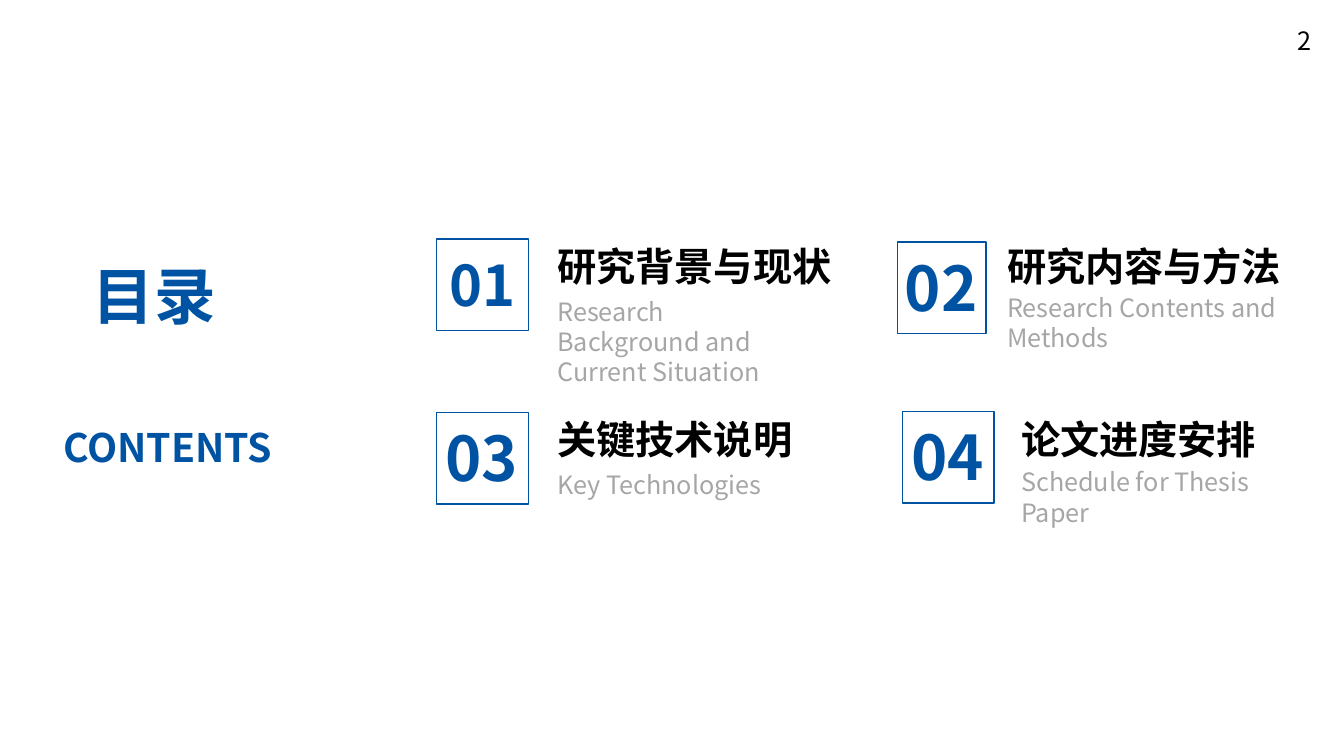
"""Build a contents slide with four numbered sections."""
from dataclasses import dataclass
from typing import Any

from lxml import etree
from pptx import Presentation
from pptx import util as u
from pptx.dml.color import RGBColor
from pptx.enum import shapes, text
from pptx.oxml import ns

PX = u.Inches(1) // 100
FONT = "Noto Sans CJK SC"
COLORS = {"blue": "0053A3", "black": "000000", "gray": "A6A6A6"}
FORMATS: dict[str, dict[str, Any]] = {
    "title": {"size": 44, "color": "blue", "bold": True, "align": text.PP_ALIGN.RIGHT},
    "contents": {"size": 28, "color": "blue", "bold": True, "align": text.PP_ALIGN.RIGHT},
    "heading": {"size": 28, "color": "black", "bold": True, "align": text.PP_ALIGN.LEFT},
    "caption": {"size": 18, "color": "gray", "bold": False, "align": text.PP_ALIGN.LEFT},
    "number": {"size": 44, "color": "blue", "bold": True, "align": text.PP_ALIGN.CENTER},
    "small_number": {"size": 40, "color": "blue", "bold": True, "align": text.PP_ALIGN.CENTER},
    "page": {"size": 18, "color": "black", "bold": False, "align": text.PP_ALIGN.LEFT},
}


@dataclass(frozen=True)
class Box:
    left: int
    top: int
    width: int
    height: int

    def emu(self) -> list[int]:
        return [value * PX for value in (self.left, self.top, self.width, self.height)]


@dataclass(frozen=True)
class Section:
    number: str
    heading: str
    caption: str
    heading_box: Box
    caption_box: Box
    number_box: Box
    frame: Box
    number_format: str = "number"


SECTIONS = [
    Section("01", "研究背景与现状", "Research Background and Current Situation",
            Box(543, 235, 304, 57), Box(543, 289, 262, 101),
            Box(433, 244, 91, 77), Box(433, 237, 91, 91), "small_number"),
    Section("02", "研究内容与方法", "Research Contents and Methods",
            Box(989, 235, 316, 57), Box(989, 285, 316, 71),
            Box(879, 243, 109, 84), Box(890, 240, 88, 91)),
    Section("03", "关键技术说明", "Key Technologies",
            Box(543, 407, 262, 57), Box(543, 461, 262, 40),
            Box(429, 412, 98, 84), Box(433, 409, 91, 91)),
    Section("04", "论文进度安排", "Schedule for Thesis Paper",
            Box(1003, 407, 262, 57), Box(1003, 458, 262, 71),
            Box(891, 411, 98, 84), Box(895, 408, 91, 91)),
]


def write(shape: Any, words: str, style: str) -> None:
    values = FORMATS[style]
    frame = shape.text_frame
    frame_values = {"word_wrap": True, "auto_size": text.MSO_AUTO_SIZE.SHAPE_TO_FIT_TEXT,
                    "vertical_anchor": text.MSO_ANCHOR.TOP}
    for name, value in frame_values.items():
        setattr(frame, name, value)
    paragraph = frame.paragraphs[0]
    paragraph.alignment = values["align"]
    run = paragraph.add_run()
    run.text = words
    font_values = {"size": u.Pt(values["size"]), "bold": values["bold"], "name": FONT}
    for name, value in font_values.items():
        setattr(run.font, name, value)
    run.font.color.rgb = RGBColor.from_string(COLORS[values["color"]])
    latin = run.font._element.find(ns.qn("a:latin"))
    east_asian = etree.Element(ns.qn("a:ea"), typeface=FONT)
    latin.addnext(east_asian)


def add_text(parent: Any, box: Box, words: str, style: str) -> None:
    write(parent.add_textbox(*box.emu()), words, style)


def add_frame(parent: Any, box: Box) -> None:
    shape = parent.add_shape(shapes.MSO_SHAPE.RECTANGLE, *box.emu())
    shape.shadow.inherit = False
    shape.fill.background()
    shape.line.color.rgb = RGBColor.from_string(COLORS["blue"])
    shape.line.width = u.Pt(1)


def add_section(slide: Any, section: Section) -> None:
    group = slide.shapes.add_group_shape().shapes
    add_text(group, section.heading_box, section.heading, "heading")
    add_text(group, section.caption_box, section.caption, "caption")
    add_text(group, section.number_box, section.number, section.number_format)
    add_frame(group, section.frame)


def main() -> None:
    presentation = Presentation()
    presentation.slide_width, presentation.slide_height = 1333 * PX, 750 * PX
    slide = presentation.slides.add_slide(presentation.slide_layouts[5])
    title = slide.shapes.title
    title_box = Box(68, 251, 156, 84)
    for name, value in zip(("left", "top", "width", "height"), title_box.emu()):
        setattr(title, name, value)
    write(title, "目录", "title")
    add_text(slide.shapes, Box(36, 415, 244, 57), "CONTENTS", "contents")
    for section in SECTIONS:
        add_section(slide, section)
    add_text(slide.shapes, Box(1277, 20, 35, 40), "2", "page")
    presentation.save("out.pptx")


if __name__ == "__main__":
    main()
